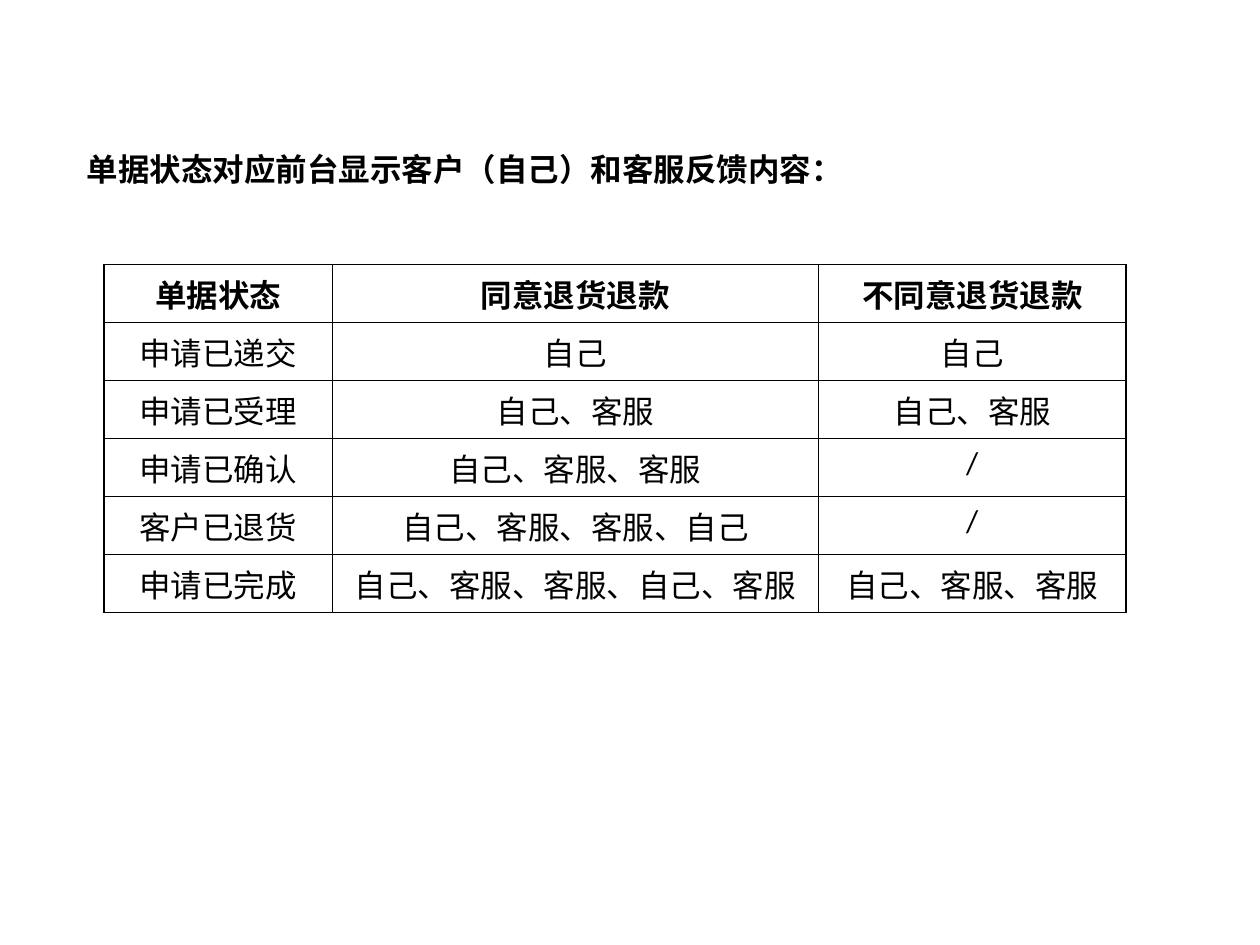
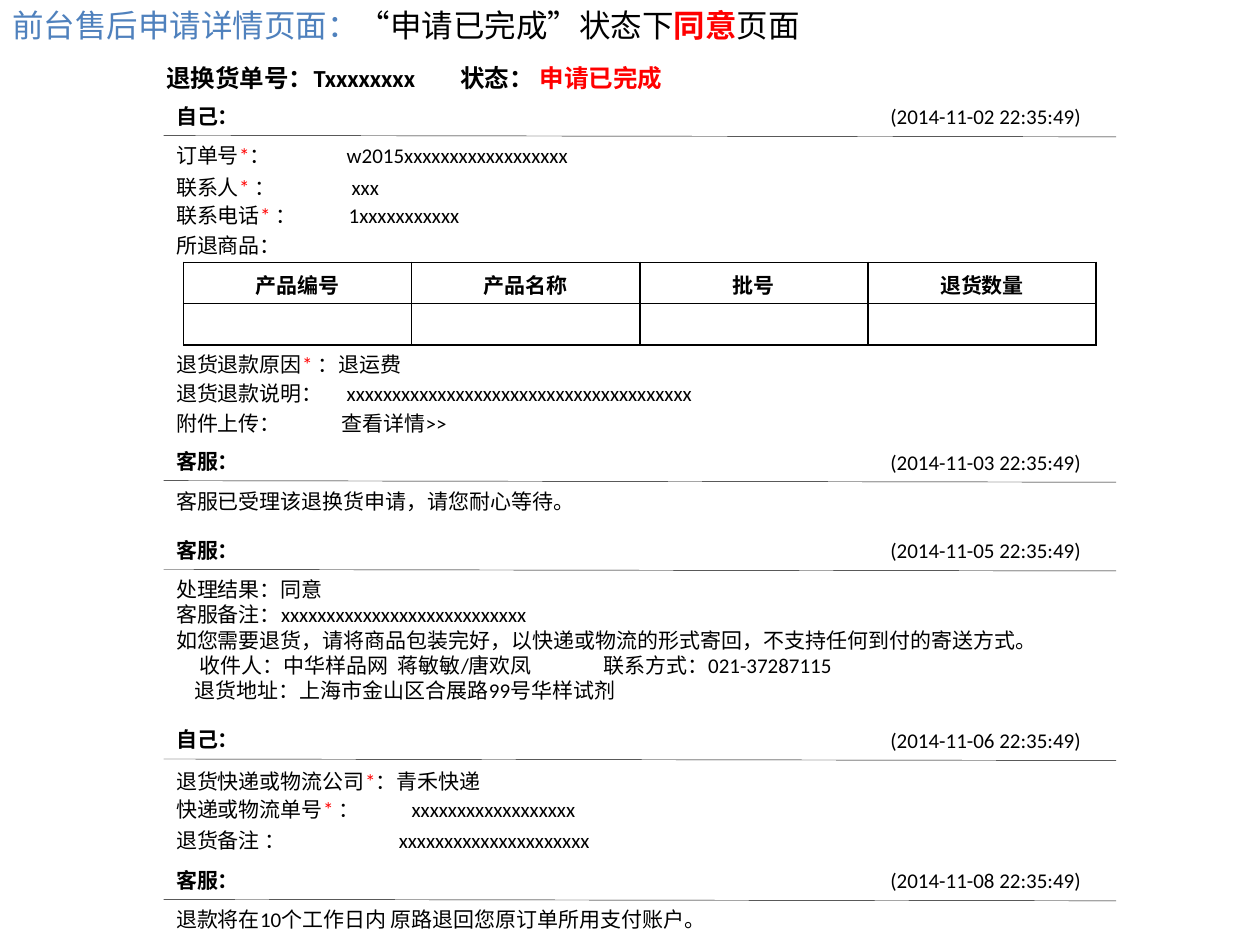
from lxml import etree
from pptx import Presentation
from pptx.dml.color import RGBColor
from pptx.enum import shapes, text
from pptx.oxml import ns
from pptx.util import Cm, Pt

# Shared look
FONT = "Calibri"
BLACK, RED, BLUE = "000000", "FF0000", "4F81BD"
LEFT = 3.3      # left edge of the detail page
RIGHT = 22.5    # right end of its rules
STAMP = 17.7    # left edge of the time stamps


def hue(code):
    return RGBColor.from_string(code)


def style(para, size, bold=False):
    font = para.font
    font.name, font.size, font.bold = FONT, Pt(size), bold
    font.color.rgb = hue(BLACK)


def add_tabs(para, stops):
    """Left tab stops, in cm from the text edge."""
    tabs = etree.SubElement(para._p.get_or_add_pPr(), ns.qn("a:tabLst"))
    for stop in stops:
        etree.SubElement(tabs, ns.qn("a:tab"), pos=str(Cm(stop)), algn="l")


def add_text(slide, x, y, w, h, lines, size=12, bold=False):
    """Each line is (runs, tab stops); each run is (words, colour, bold)."""
    box = slide.shapes.add_textbox(Cm(x), Cm(y), Cm(w), Cm(h))
    frame = box.text_frame
    frame.word_wrap = True
    for i, (runs, stops) in enumerate(lines):
        para = frame.add_paragraph() if i else frame.paragraphs[0]
        if stops:
            add_tabs(para, stops)
        style(para, size, bold)
        for words, code, heavy in runs:
            run = para.add_run()
            run.text = words
            if code != BLACK:
                run.font.color.rgb = hue(code)
            if heavy != bold:
                run.font.bold = heavy


def plain(words, *stops, bold=False):
    return [(words, BLACK, bold)], stops


def add_field(slide, y, words, *stops):
    """One form line; the star of a required field is red."""
    name, star, rest = words.partition("*")
    parts = [(name, BLACK, False), (star, RED, False), (rest, BLACK, False)]
    runs = [part for part in parts if part[0]]
    add_text(slide, LEFT, y, 18.8, 0.76, [(runs, stops)])


def add_head(slide, y, who, stamp):
    """Speaker, time and the thin rule under both."""
    add_text(slide, LEFT, y, 2.6, 0.76, [plain(who, bold=True)], bold=True)
    add_text(slide, STAMP, y + 0.01, 5, 0.76, [plain(stamp)])
    rule = slide.shapes.add_connector(
        shapes.MSO_CONNECTOR.STRAIGHT,
        Cm(LEFT), Cm(y + 0.77), Cm(RIGHT), Cm(y + 0.8))
    rule.line.color.rgb = hue(BLACK)
    rule.line.width = Pt(0.25)
    etree.SubElement(rule._element.spPr, ns.qn("a:effectLst"))


def add_border(cell):
    props = cell._tc.get_or_add_tcPr()
    for side in "LRTB":
        line = etree.SubElement(props, ns.qn("a:ln" + side), w=str(Pt(1)))
        fill = etree.SubElement(line, ns.qn("a:solidFill"))
        etree.SubElement(fill, ns.qn("a:srgbClr"), val=BLACK)


def add_grid(slide, x, y, widths, high, rows, size):
    """Centred table with a bold first row."""
    frame = slide.shapes.add_table(
        len(rows), len(widths), Cm(x), Cm(y),
        Cm(sum(widths)), Cm(high * len(rows)))
    grid = frame.table
    grid.first_row = grid.horz_banding = False
    for col, wide in zip(grid.columns, widths):
        col.width = Cm(wide)
    for i, row in enumerate(rows):
        grid.rows[i].height = Cm(high)
        for j, words in enumerate(row):
            cell = grid.cell(i, j)
            add_border(cell)
            cell.fill.background()
            para = cell.text_frame.paragraphs[0]
            if words:
                para.text = words
            para.alignment = text.PP_ALIGN.CENTER
            style(para, size, i == 0)


def add_states(slide):
    add_text(slide, 1.5, 2.9, 16.6, 1.03, [plain(
        "单据状态对应前台显示客户（自己）和客服反馈内容：", bold=True)], 18, True)
    add_grid(slide, 2.1, 5.33, [4.6, 9.8, 6.2], 1.17, [
        ("单据状态", "同意退货退款", "不同意退货退款"),
        ("申请已递交", "自己", "自己"),
        ("申请已受理", "自己、客服", "自己、客服"),
        ("申请已确认", "自己、客服、客服", "/"),
        ("客户已退货", "自己、客服、客服、自己", "/"),
        ("申请已完成", "自己、客服、客服、自己、客服", "自己、客服、客服"),
    ], 18)


def add_detail(slide):
    # Title and order state
    add_text(slide, 0, 0, 25.4, 1.03, [([
        ("前台售后申请详情页面：", BLUE, False),
        ("“申请已完成”状态下", BLACK, False),
        ("同意", RED, True),
        ("页面", BLACK, False)], ())], 18)
    add_text(slide, 3.1, 1.15, 16.7, 0.86, [([
        ("退换货单号：Txxxxxxxx\t状态： ", BLACK, True),
        ("申请已完成", RED, True)], [5.93])], 14, True)

    # Who spoke, and when
    for y, who, stamp in [
            (1.96, "自己：", "(2014-11-02 22:35:49)"),
            (8.92, "客服：", "(2014-11-03 22:35:49)"),
            (10.71, "客服：", "(2014-11-05 22:35:49)"),
            (14.53, "自己：", "(2014-11-06 22:35:49)"),
            (17.36, "客服：", "(2014-11-08 22:35:49)")]:
        add_head(slide, y, who, stamp)

    # Form lines, with the tab stop of the value
    for y, words, *stops in [
            (2.74, "订单号*：\tw2015xxxxxxxxxxxxxxxxxx", 3.44),
            (3.39, "联系人* ：\txxx", 3.54),
            (3.96, "联系电话* ：\t1xxxxxxxxxxx", 3.48),
            (4.56, "所退商品："),
            (6.96, "退货退款原因* ：退运费"),
            (7.54, "退货退款说明：\t" + "x" * 38, 3.44),
            (8.15, "附件上传：\t查看详情>>", 3.34),
            (9.73, "客服已受理该退换货申请，请您耐心等待。"),
            (15.37, "退货快递或物流公司*：青禾快递"),
            (15.93, "快递或物流单号* ：\t" + "x" * 18, 4.75),
            (16.56, "退货备注 ：\t" + "x" * 21, 4.49),
            (18.16, "退款将在10个工作日内 原路退回您原订单所用支付账户。")]:
        add_field(slide, y, words, *stops)

    # Returned goods
    add_grid(slide, 3.7, 5.29, [4.6] * 4, 0.83, [
        ("产品编号", "产品名称", "批号", "退货数量"), [""] * 4], 12)

    # Result and return address
    add_text(slide, LEFT, 11.5, 18.4, 2.82, [
        plain("处理结果：同意"),
        plain("客服备注：" + "x" * 27),
        plain("如您需要退货，请将商品包装完好，"
              "以快递或物流的形式寄回，不支持任何到付的寄送方式。"),
        plain("\t收件人：中华样品网\t蒋敏敏/唐欢凤\t联系方式：021-37287115",
              0.48, 4.47, 8.61),
        plain("\t退货地址：上海市金山区合展路99号华样试剂", 0.38)])


def main():
    deck = Presentation()
    deck.slide_width, deck.slide_height = Cm(25.4), Cm(19.05)
    for build in (add_states, add_detail):
        build(deck.slides.add_slide(deck.slide_layouts[6]))
    deck.save("out.pptx")


if __name__ == "__main__":
    main()
